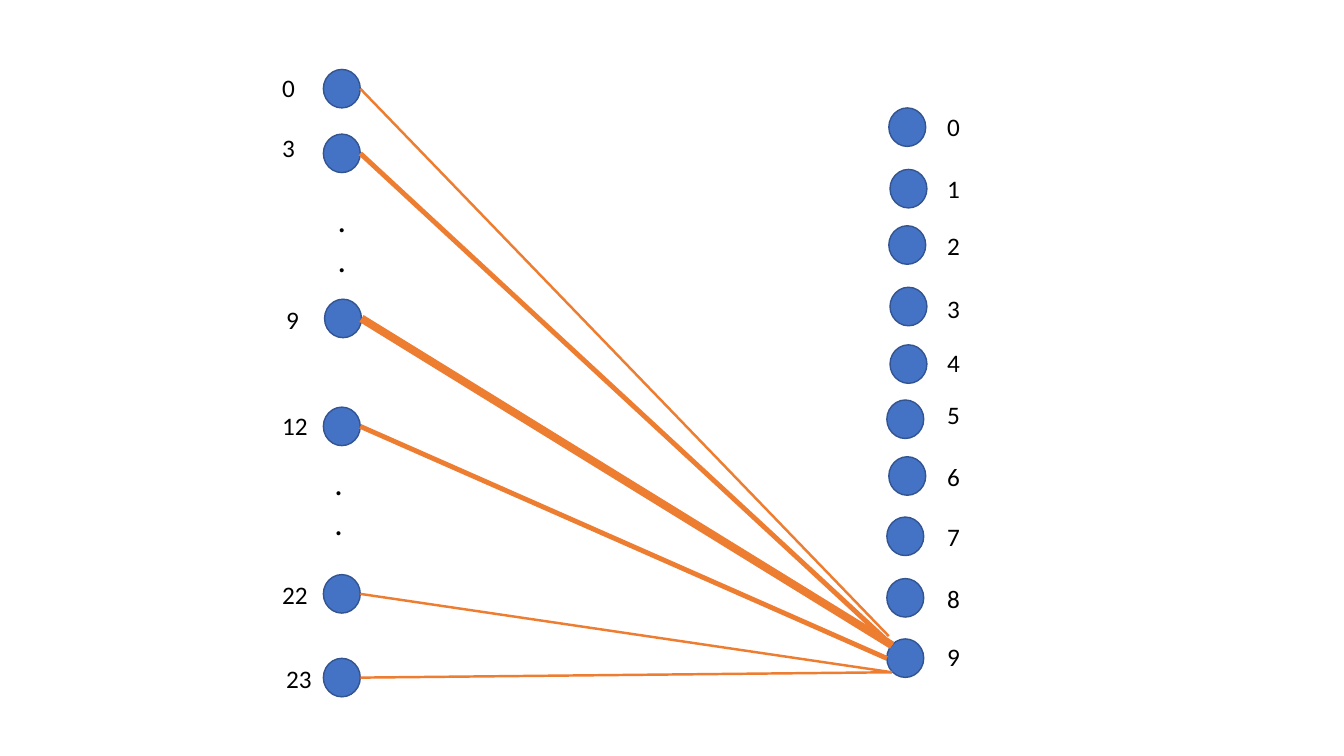
from dataclasses import dataclass

from lxml import etree
from pptx import Presentation
from pptx.dml.color import RGBColor
from pptx.enum.shapes import MSO_CONNECTOR, MSO_SHAPE
from pptx.oxml.ns import qn
from pptx.util import Cm, Pt

CIRCLE = MSO_SHAPE.FLOWCHART_CONNECTOR
STRAIGHT = MSO_CONNECTOR.STRAIGHT

# Lengths are in centimetres
NODE_WIDTH, NODE_HEIGHT = 0.93, 0.97
LABEL_HEIGHT = 1.02
OUTPUT_LABEL_LEFT, OUTPUT_LABEL_WIDTH = 23.62, 0.99

# Input layer: label, node left, node top, label left, label top, label width
INPUTS = [
    ("0", 8.15, 1.75, 6.86, 1.7, 0.99),
    ("3", 8.15, 3.38, 6.86, 3.2, 0.99),
    ("9", 8.18, 7.54, 6.96, 7.54, 0.84),
    ("12", 8.15, 10.26, 6.86, 10.21, 1.22),
    ("22", 8.15, 14.48, 6.86, 14.48, 1.22),
    ("23", 8.15, 16.59, 6.96, 16.59, 1.45),
]

# Output layer, numbered from 0: node left, node top, label top
OUTPUTS = [
    (22.4, 2.72, 2.67),
    (22.43, 4.27, 4.24),
    (22.4, 5.69, 5.69),
    (22.43, 7.24, 7.26),
    (22.43, 8.69, 8.64),
    (22.35, 10.08, 9.93),
    (22.4, 11.51, 11.51),
    (22.35, 13.03, 13.0),
    (22.35, 14.58, 14.58),
    (22.35, 16.1, 16.03),
]

# Weights into output 9, one per input: end x, end y, line width in points
WEIGHTS = [
    (22.4, 16.03, 1.75),
    (22.48, 16.26, 3.5),
    (22.48, 16.26, 5.75),
    (22.35, 16.59, 3.5),
    (22.48, 16.94, 1.75),
    (22.48, 16.94, 1.75),
]

# Omitted inputs: left, top
OMISSIONS = [(8.26, 4.88), (8.18, 11.51)]


@dataclass(frozen=True)
class Theme:
    font: str = "Calibri"
    text: RGBColor = RGBColor(0x00, 0x00, 0x00)
    node: RGBColor = RGBColor(0x44, 0x72, 0xC4)
    node_border: RGBColor = RGBColor(0x32, 0x54, 0x91)
    weight: RGBColor = RGBColor(0xED, 0x7D, 0x31)
    label_size: int = 18
    dots_size: int = 24
    border_width: int = 1


def write_text(frame, lines, *, font, size, color, wrap=True):
    """Put one paragraph per line into a text frame."""
    frame.word_wrap = wrap
    for index, line in enumerate(lines):
        paragraph = frame.add_paragraph() if index else frame.paragraphs[0]
        run = paragraph.add_run()
        run.text = line
        run.font.name = font
        run.font.size = Pt(size)
        run.font.color.rgb = color


class NetworkSlide:
    def __init__(self, slide, theme):
        self.shapes = slide.shapes
        self.theme = theme

    def node(self, left, top):
        circle = self.shapes.add_shape(
            CIRCLE, Cm(left), Cm(top), Cm(NODE_WIDTH), Cm(NODE_HEIGHT))
        circle.shadow.inherit = False
        circle.fill.solid()
        circle.fill.fore_color.rgb = self.theme.node
        circle.line.color.rgb = self.theme.node_border
        circle.line.width = Pt(self.theme.border_width)

    def text(self, lines, left, top, width, height, size, wrap=True):
        box = self.shapes.add_textbox(Cm(left), Cm(top), Cm(width), Cm(height))
        write_text(box.text_frame, lines, font=self.theme.font, size=size,
                   color=self.theme.text, wrap=wrap)

    def label(self, number, left, top, width):
        self.text([number], left, top, width, LABEL_HEIGHT,
                  self.theme.label_size)

    def dots(self, left, top):
        self.text([".", "."], left, top, 0.74, 3.33,
                  self.theme.dots_size, wrap=False)

    def weight(self, start_x, start_y, end_x, end_y, width):
        edge = self.shapes.add_connector(
            STRAIGHT, Cm(start_x), Cm(start_y), Cm(end_x), Cm(end_y))
        edge.line.color.rgb = self.theme.weight
        edge.line.width = Pt(width)
        properties = edge._element.find(qn("p:spPr"))
        etree.SubElement(properties, qn("a:effectLst"))


def main():
    presentation = Presentation()
    presentation.slide_width = Cm(33.87)
    presentation.slide_height = Cm(19.05)
    blank = presentation.slide_layouts[6]
    network = NetworkSlide(presentation.slides.add_slide(blank), Theme())

    # Output layer
    for digit, (left, top, label_top) in enumerate(OUTPUTS):
        network.node(left, top)
        network.label(str(digit), OUTPUT_LABEL_LEFT, label_top,
                      OUTPUT_LABEL_WIDTH)

    # Input layer
    for number, left, top, label_left, label_top, label_width in INPUTS:
        network.node(left, top)
        network.label(number, label_left, label_top, label_width)

    # Weights, each from the right side of its input node
    for (_, left, top, *_), (end_x, end_y, width) in zip(INPUTS, WEIGHTS):
        network.weight(left + NODE_WIDTH, top + NODE_HEIGHT / 2,
                       end_x, end_y, width)

    # Dots for the omitted inputs
    for left, top in OMISSIONS:
        network.dots(left, top)

    presentation.save("out.pptx")


if __name__ == "__main__":
    main()
